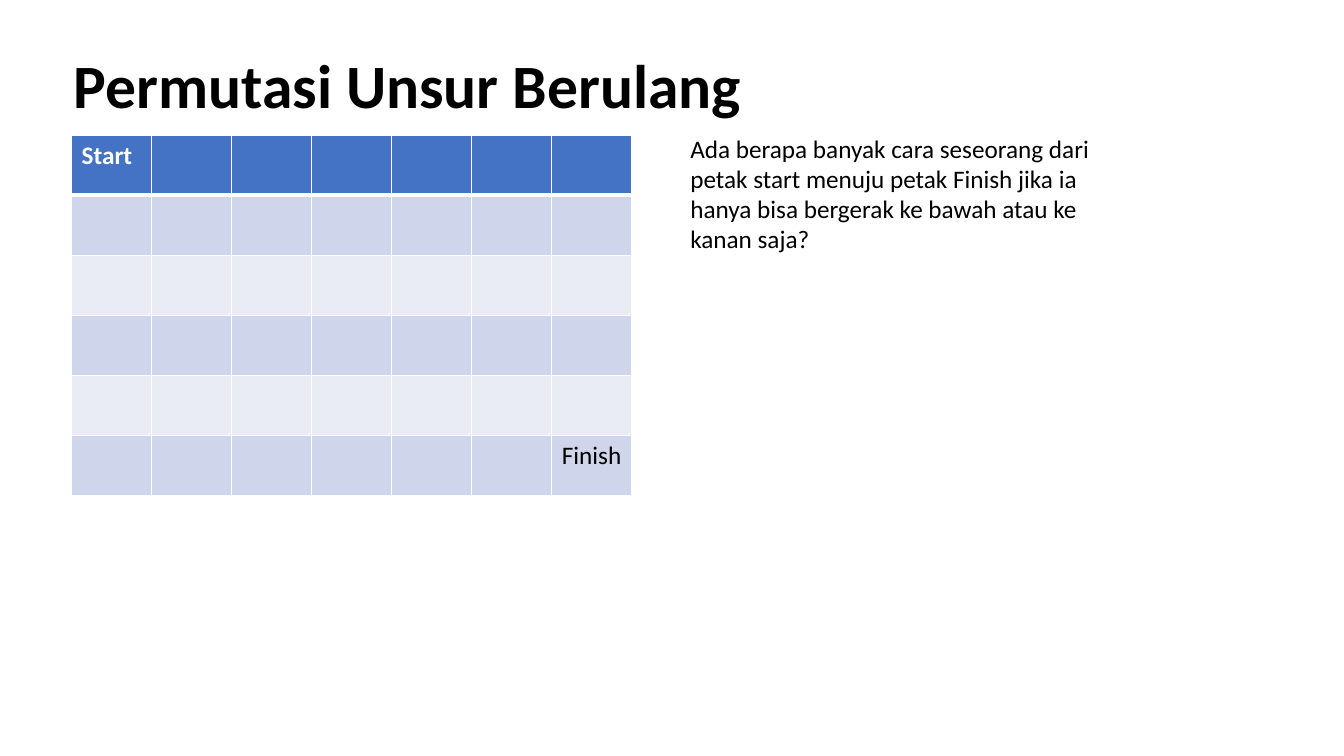
import pptx
import pptx.util
import pptx.dml.color
import pptx.enum.text
import pptx.oxml
import pptx.oxml.ns

WHITE, BLACK = "FFFFFF", "000000"
HEAD, DARK, LIGHT = "4472C4", "CFD5EA", "E9EBF5"
ROWS, COLS = 6, 7


def color(code):
    return pptx.dml.color.RGBColor.from_string(code)


def assign(target, values):
    for name, value in values.items():
        setattr(target, name, value)


class Deck:
    """Holds the style and the current slide; lengths are percent of its size."""

    font = "Calibri"

    def __init__(self, wide, high):
        self.show = pptx.Presentation()
        assign(self.show, {"slide_width": pptx.util.Inches(wide),
                           "slide_height": pptx.util.Inches(high)})
        self.slide = self.show.slides.add_slide(self.show.slide_layouts[5])

    def box(self, left, top, width, height):
        wide, high = self.show.slide_width, self.show.slide_height
        return [round(share * size / 100) for share, size in
                ((left, wide), (top, high), (width, wide), (height, high))]

    def label(self, frame, text, size=18, tint=BLACK, bold=False):
        line = frame.paragraphs[0]
        line.alignment = pptx.enum.text.PP_ALIGN.LEFT
        run = line.add_run()
        run.text = text
        assign(run.font, {"name": self.font, "size": pptx.util.Pt(size),
                          "bold": bold})
        run.font.color.rgb = color(tint)

    def title(self, text, *place):
        shape = self.slide.shapes.title
        assign(shape, dict(zip(("left", "top", "width", "height"),
                               self.box(*place))))
        frame = shape.text_frame
        assign(frame, {"word_wrap": True,
                       "auto_size": pptx.enum.text.MSO_AUTO_SIZE.NONE,
                       "vertical_anchor": pptx.enum.text.MSO_ANCHOR.BOTTOM})
        self.label(frame, text, 44, bold=True)
        frame.paragraphs[0].line_spacing = 0.9

    def text(self, words, *place):
        frame = self.slide.shapes.add_textbox(*self.box(*place)).text_frame
        assign(frame, {"word_wrap": True,
                       "auto_size":
                       pptx.enum.text.MSO_AUTO_SIZE.SHAPE_TO_FIT_TEXT})
        self.label(frame, words)

    def edge(self, cell, sides):
        props = cell._tc.get_or_add_tcPr()
        for spot, (side, width) in enumerate(sides.items()):
            props.insert(spot, pptx.oxml.parse_xml(
                f'<a:ln{side} {pptx.oxml.ns.nsdecls("a")} '
                f'w="{pptx.util.Pt(width)}"><a:solidFill>'
                f'<a:srgbClr val="{WHITE}"/></a:solidFill></a:ln{side}>'))

    def table(self, labels, *place):
        grid = self.slide.shapes.add_table(ROWS, COLS, *self.box(*place)).table
        for row in range(ROWS):
            fill = DARK if row % 2 else LIGHT if row else HEAD
            for col in range(COLS):
                cell = grid.cell(row, col)
                cell.fill.solid()
                cell.fill.fore_color.rgb = color(fill)
                # A thick rule parts the header from the body
                self.edge(cell, {"L": 1, "R": 1, "T": 3 if row == 1 else 1,
                                 "B": 1 if row else 3})
                if (row, col) in labels:
                    self.label(cell.text_frame, labels[row, col],
                               tint=BLACK if row else WHITE, bold=row == 0)


def main():
    deck = Deck(13.33, 7.5)
    # Heading
    deck.title("Permutasi Unsur Berulang", 4.73, 6.67, 75, 10.13)
    # Board from start to finish
    deck.table({(0, 0): "Start", (ROWS - 1, COLS - 1): "Finish"},
               5.33, 17.87, 41.7, 47.73)
    # Question
    deck.text("Ada berapa banyak cara seseorang dari petak start menuju "
              "petak Finish jika ia hanya bisa bergerak ke bawah atau ke "
              "kanan saja?", 50.63, 16.93, 33.15, 17.47)
    deck.show.save("out.pptx")


if __name__ == "__main__":
    main()
